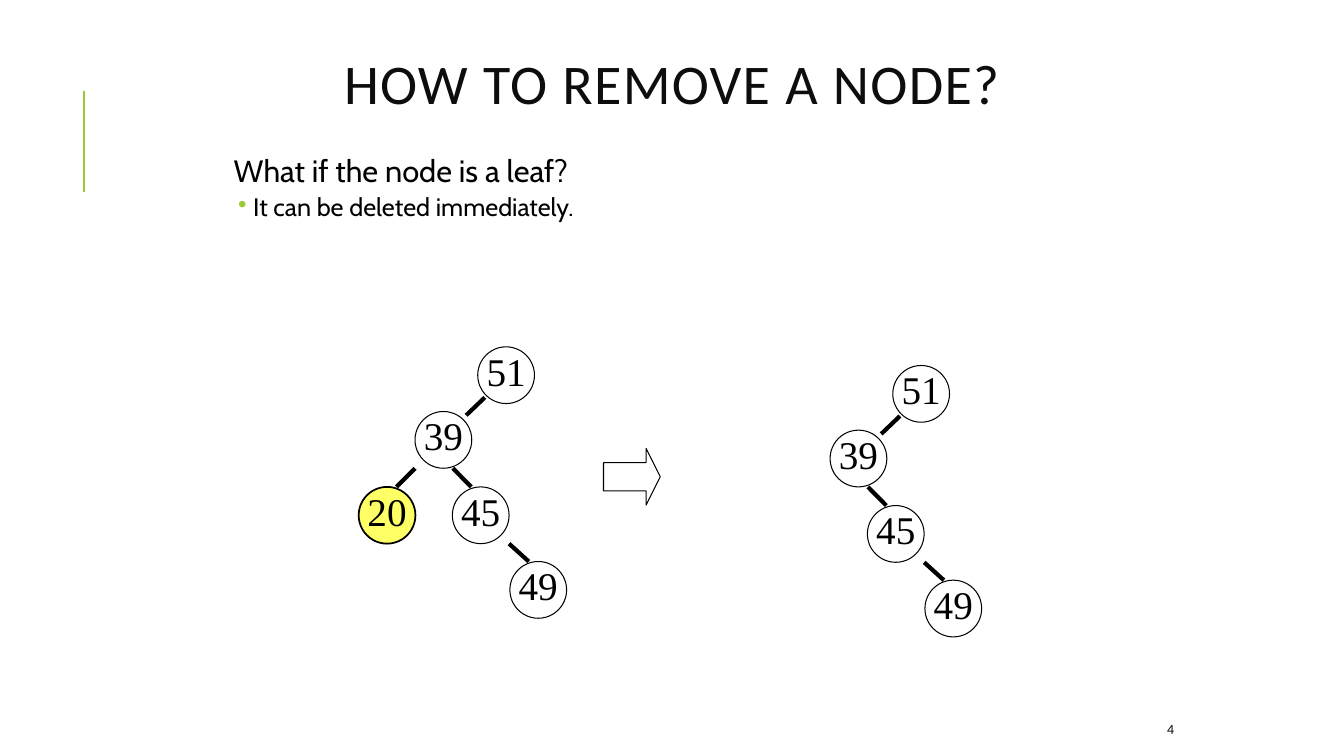
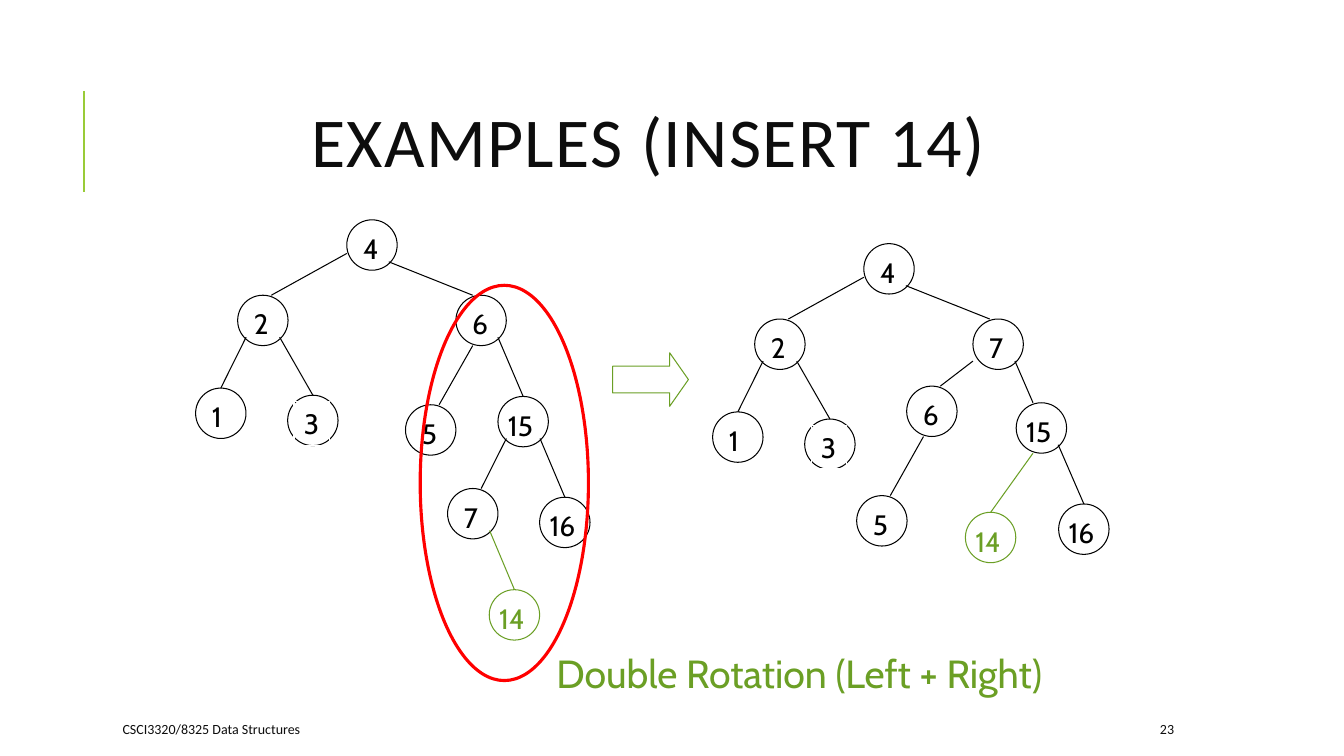
from dataclasses import dataclass
from typing import NamedTuple

from lxml import etree
from pptx import Presentation
from pptx.dml.color import RGBColor
from pptx.enum.shapes import MSO_CONNECTOR, MSO_SHAPE
from pptx.enum.text import MSO_ANCHOR, MSO_AUTO_SIZE, PP_ALIGN
from pptx.oxml.ns import qn
from pptx.util import Cm, Pt

BLACK = RGBColor(0x00, 0x00, 0x00)
WHITE = RGBColor(0xFF, 0xFF, 0xFF)
INK = RGBColor(0x0D, 0x0D, 0x0D)
LIME = RGBColor(0x99, 0xCB, 0x38)
GREEN = RGBColor(0x6B, 0x9F, 0x25)
YELLOW = RGBColor(0xFF, 0xFF, 0x66)
RED = RGBColor(0xFF, 0x00, 0x00)

LEFT, CENTER, RIGHT = PP_ALIGN.LEFT, PP_ALIGN.CENTER, PP_ALIGN.RIGHT
TOP, MIDDLE = MSO_ANCHOR.TOP, MSO_ANCHOR.MIDDLE
NO_FIT, GROW = MSO_AUTO_SIZE.NONE, MSO_AUTO_SIZE.SHAPE_TO_FIT_TEXT
OVAL, ARROW = MSO_SHAPE.OVAL, MSO_SHAPE.RIGHT_ARROW
STRAIGHT = MSO_CONNECTOR.STRAIGHT

TITLE_ONLY = 5
HANGING = 0.97


class Box(NamedTuple):
    """Left, top, width and height in centimetres."""
    x: float
    y: float
    w: float
    h: float

    def emu(self) -> list:
        return [Cm(v) for v in self]


class Node(NamedTuple):
    """Place within the tree in centimetres, and its look."""
    x: float
    y: float
    color: RGBColor = BLACK
    fill: RGBColor | None = None
    line: float = 0.75
    boxed: bool = False


class Edge(NamedTuple):
    """Ends lie within the two nodes, in sixths of a diameter."""
    parent: int
    child: int
    start: tuple[float, float]
    end: tuple[float, float]


@dataclass(frozen=True)
class TreeStyle:
    size: float
    edge_width: float
    font: dict
    wide_label: Box
    narrow_label: Box
    hanging: bool


FOOTER_FONT = dict(name="Calibri", size=Pt(10), color=INK)

SERIF_TREE = TreeStyle(1.43, 3, dict(name="Times New Roman", size=Pt(28)),
                       Box(0, 0, 1.43, 0.95), Box(0, 0, 1.43, 0.95), False)
SANS_TREE = TreeStyle(1.27, 0.75, dict(name="Cabin", size=Pt(20)),
                      Box(0, 0.17, 1.27, 1.09), Box(0.16, 0.17, 0.89, 1.09), True)

# Removal trees
AFTER_NODES = {
    51: Node(3, 0, fill=WHITE),
    39: Node(1.42, 1.63, fill=WHITE),
    45: Node(2.36, 3.53, fill=WHITE),
    49: Node(3.81, 5.41, fill=WHITE),
}
AFTER_EDGES = [
    Edge(51, 39, (0.75, 5.35), (5.4, 0.4)),
    Edge(39, 45, (4, 6), (2, 0)),
    Edge(45, 49, (6, 6), (2, 0)),
]
BEFORE_NODES = AFTER_NODES | {20: Node(0, 3.53, fill=YELLOW, line=1.25)}
BEFORE_EDGES = AFTER_EDGES + [Edge(39, 20, (0, 6), (4, 0))]

# Insertion trees: both share the part on the left
SHARED_NODES = {
    4: Node(3.81, 0),
    2: Node(1.06, 1.9),
    1: Node(0, 4.24),
    3: Node(2.32, 4.42, boxed=True),
}
SHARED_EDGES = [
    Edge(4, 2, (0, 4), (4, 0)),
    Edge(2, 1, (1, 5), (3, 0)),
    Edge(2, 3, (5, 5), (3, 0)),
    Edge(6, 5, (2, 6), (4, 0)),
    Edge(15, 16, (5, 5), (3, 0)),
]
INSERTED_NODES = SHARED_NODES | {
    6: Node(6.56, 1.9),
    15: Node(7.62, 4.45),
    5: Node(5.29, 4.66),
    16: Node(8.67, 6.99),
    7: Node(6.35, 6.77),
    14: Node(7.4, 9.32, color=GREEN),
}
INSERTED_EDGES = SHARED_EDGES + [
    Edge(4, 6, (5, 5), (2, 0)),
    Edge(6, 15, (5, 5), (3, 0)),
    Edge(15, 7, (1, 5), (4, 0)),
    Edge(7, 14, (5, 5), (3, 0)),
]
ROTATED_NODES = SHARED_NODES | {
    7: Node(6.56, 1.9),
    6: Node(4.89, 3.59),
    15: Node(7.65, 4.01),
    5: Node(3.63, 6.35),
    16: Node(8.72, 6.56),
    14: Node(6.37, 6.77, color=GREEN),
}
ROTATED_EDGES = SHARED_EDGES + [
    Edge(4, 7, (5, 5), (2, 0)),
    Edge(7, 6, (0, 5), (4, 0)),
    Edge(7, 15, (5, 5), (2, 0)),
    Edge(15, 14, (2, 6), (3, 0)),
]


def set_font(font, values: dict) -> None:
    for key, value in values.items():
        if key == "color":
            font.color.rgb = value
        else:
            setattr(font, key, value)


def indent(p, margin: float, first: float, bullet: str = "") -> None:
    pPr = p._p.get_or_add_pPr()
    pPr.set("marL", str(Cm(margin)))
    pPr.set("indent", str(Cm(first)))
    if bullet:
        clr = etree.SubElement(pPr, qn("a:buClr"))
        etree.SubElement(clr, qn("a:srgbClr")).set("val", str(LIME))
        etree.SubElement(pPr, qn("a:buChar")).set("char", bullet)


def add_text(s, box: Box, text: str, font: dict, align=LEFT, anchor=TOP,
             inset: float | None = None, hanging: bool = False):
    """Add a one-line text box; hanging boxes grow with their text."""
    sp = s.shapes.add_textbox(*box.emu())
    tf = sp.text_frame
    frame = dict(word_wrap=not hanging, vertical_anchor=anchor,
                 auto_size=GROW if hanging else NO_FIT)
    if inset is not None:
        sides = ("left", "top", "right", "bottom")
        frame |= {f"margin_{side}": Cm(inset) for side in sides}
    for key, value in frame.items():
        setattr(tf, key, value)
    p = tf.paragraphs[0]
    if hanging:
        indent(p, HANGING, -HANGING)
    p.alignment = align
    r = p.add_run()
    r.text = text
    set_font(r.font, font)
    return sp


def add_shape(s, kind, box: Box, color: RGBColor, width: float = 0.75,
              fill: RGBColor | None = None):
    sp = s.shapes.add_shape(kind, *box.emu())
    sp.shadow.inherit = False
    if fill is None:
        sp.fill.background()
    else:
        sp.fill.solid()
        sp.fill.fore_color.rgb = fill
    sp.line.color.rgb = color
    sp.line.width = Pt(width)
    return sp


def add_line(s, x1: float, y1: float, x2: float, y2: float,
             color: RGBColor, width: float) -> None:
    line = s.shapes.add_connector(STRAIGHT, Cm(x1), Cm(y1), Cm(x2), Cm(y2))
    line.line.color.rgb = color
    line.line.width = Pt(width)
    etree.SubElement(line._element.spPr, qn("a:effectLst"))


def add_tree(s, x: float, y: float, nodes: dict[int, Node],
             edges: list[Edge], style: TreeStyle) -> None:
    for value, node in nodes.items():
        left, top = x + node.x, y + node.y
        add_shape(s, OVAL, Box(left, top, style.size, style.size),
                  node.color, node.line, node.fill)
        label = style.narrow_label if value < 10 else style.wide_label
        sp = add_text(s, Box(left + label.x, top + label.y, label.w, label.h),
                      str(value), style.font | dict(color=node.color),
                      LEFT if style.hanging else CENTER,
                      inset=None if style.hanging else 0,
                      hanging=style.hanging)
        if node.boxed:
            sp.line.color.rgb = WHITE
            sp.line.width = Pt(0.75)
    sixth = style.size / 6
    for edge in edges:
        a, b = nodes[edge.parent], nodes[edge.child]
        add_line(s, x + a.x + edge.start[0] * sixth, y + a.y + edge.start[1] * sixth,
                 x + b.x + edge.end[0] * sixth, y + b.y + edge.end[1] * sixth,
                 b.color, style.edge_width)


def add_arrow(s, box: Box, color: RGBColor, head: float,
              fill: RGBColor | None = None) -> None:
    sp = add_shape(s, ARROW, box, color, fill=fill)
    sp.adjustments[0] = 0.5
    sp.adjustments[1] = head


def new_slide(prs, title: str, box: Box, size: int, number: int):
    """Add a slide with the title, side rule and slide number."""
    s = prs.slides.add_slide(prs.slide_layouts[TITLE_ONLY])
    add_line(s, 2.12, 2.29, 2.12, 4.83, LIME, 1.5)
    sp = s.shapes.title
    sp.left, sp.top, sp.width, sp.height = box.emu()
    tf = sp.text_frame
    for key, value in dict(word_wrap=True, auto_size=NO_FIT,
                           vertical_anchor=MIDDLE).items():
        setattr(tf, key, value)
    p = tf.paragraphs[0]
    p.alignment, p.line_spacing = CENTER, 0.8
    r = p.add_run()
    r.text = title
    set_font(r.font, dict(name="Calibri", size=Pt(size), color=INK))
    r._r.get_or_add_rPr().set("spc", "100")
    add_text(s, Box(13.46, 17.98, 16.38, 0.76), str(number), FOOTER_FONT, RIGHT, MIDDLE)
    return s


def removal_slide(prs) -> None:
    s = new_slide(prs, "HOW TO REMOVE A NODE?", Box(5.51, 1.27, 22.86, 1.91), 40, 4)

    # Question and answer
    body = dict(name="Cabin", size=Pt(22), color=BLACK)
    sp = add_text(s, Box(5.51, 3.81, 22.86, 12.5), "What if the node is a leaf?",
                  body, inset=0.13)
    question = sp.text_frame.paragraphs[0]
    indent(question, 0.25, 0)
    answer = sp.text_frame.add_paragraph()
    indent(answer, 0.74, -0.38, "•")
    r = answer.add_run()
    r.text = "It can be deleted immediately."
    set_font(r.font, body | dict(size=Pt(18)))
    formats = [(question, dict(line_spacing=0.9, space_after=Pt(2))),
               (answer, dict(level=1, line_spacing=0.9, space_before=Pt(2),
                             space_after=Pt(4)))]
    for p, values in formats:
        for key, value in values.items():
            setattr(p, key, value)

    # Before and after
    add_tree(s, 9.04, 8.74, BEFORE_NODES, BEFORE_EDGES, SERIF_TREE)
    add_arrow(s, Box(15.21, 11.3, 1.43, 1.43), BLACK, 0.25, WHITE)
    add_tree(s, 19.5, 9.21, AFTER_NODES, AFTER_EDGES, SERIF_TREE)


def insertion_slide(prs) -> None:
    s = new_slide(prs, "EXAMPLES (INSERT 14)", Box(2.84, 1.63, 27, 4.17), 50, 23)
    add_text(s, Box(2.84, 17.98, 5.99, 0.76), "CSCI3320/8325 Data Structures",
             FOOTER_FONT, anchor=MIDDLE)

    # Before and after
    add_arrow(s, Box(15.44, 8.89, 1.91, 1.35), GREEN, 0.35)
    add_text(s, Box(13.77, 16.23, 13.84, 1.45), "Double Rotation (Left + Right)",
             dict(name="Cabin", size=Pt(28), color=GREEN), hanging=True)
    add_tree(s, 17.96, 6.14, ROTATED_NODES, ROTATED_EDGES, SANS_TREE)
    add_tree(s, 4.93, 5.54, INSERTED_NODES, INSERTED_EDGES, SANS_TREE)

    # Unbalanced part
    add_shape(s, OVAL, Box(10.59, 7.19, 4.24, 9.96), RED, 2.25)


def main() -> None:
    prs = Presentation()
    prs.slide_width, prs.slide_height = Cm(33.87), Cm(19.05)
    removal_slide(prs)
    insertion_slide(prs)
    prs.save("out.pptx")


if __name__ == "__main__":
    main()
